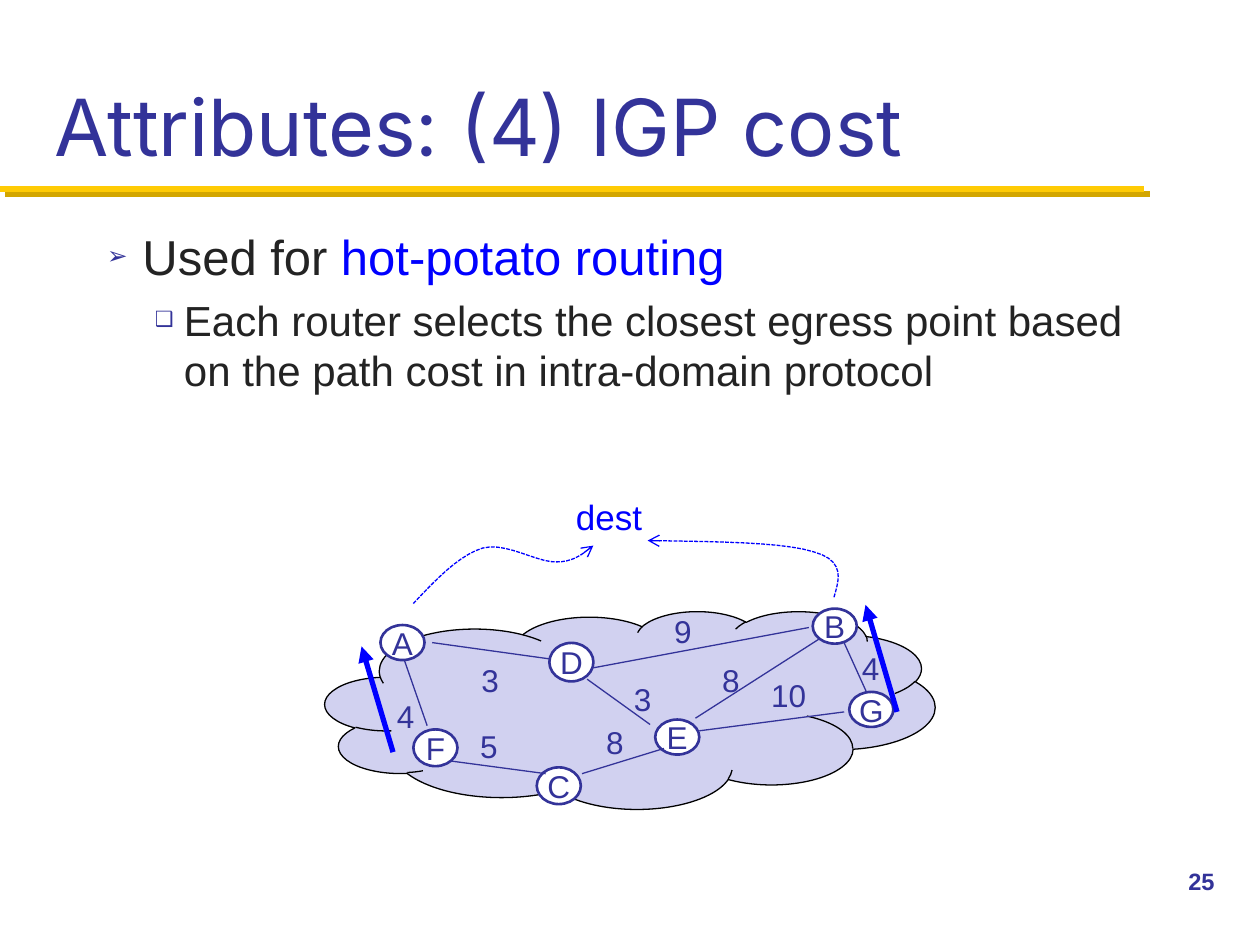
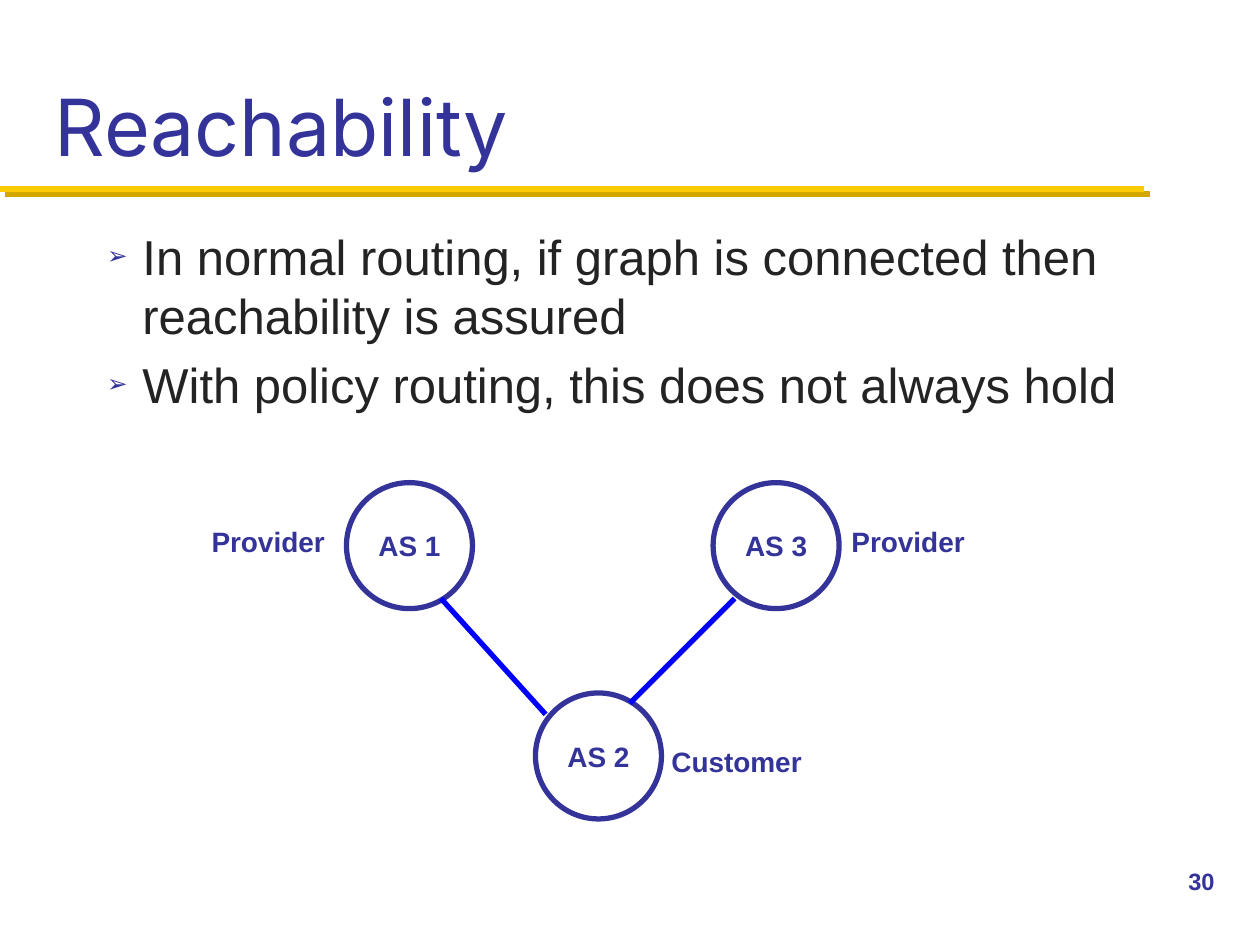
from lxml import etree
from pptx import Presentation
from pptx import util as u
from pptx.dml.color import RGBColor
from pptx.enum import dml, shapes, text
from pptx.oxml.ns import qn

NAVY = RGBColor(0x33, 0x33, 0x99)
BLUE = RGBColor(0x00, 0x00, 0xFF)
INK = RGBColor(0x23, 0x23, 0x23)
GOLD = RGBColor(0xFF, 0xCB, 0x05)
GOLD_SHADOW = RGBColor(0xD3, 0xA6, 0x00)
LILAC = RGBColor(0xD1, 0xD1, 0xF0)
WHITE = RGBColor(0xFF, 0xFF, 0xFF)
BLACK = RGBColor(0x00, 0x00, 0x00)

TITLE_FONT, BODY_FONT = "Inter", "Arial"

# Bullet levels: character, size, left margin, hanging indent
LEVELS = [("➢", 28, 20.2, 20.2), ("❑", 24, 43.9, 16.6)]

# Each bullet: level, then (words, colour) spans
IGP_BULLETS = [
    (0, [("Used for ", INK), ("hot-potato routing", BLUE)]),
    (1, [("Each router selects the closest egress point based on the path cost "
          "in intra-domain protocol", INK)]),
]
REACH_BULLETS = [
    (0, [("In normal routing, if graph is connected then reachability is assured", INK)]),
    (0, [("With policy routing, this does not always hold", INK)]),
]

# Routers: centre x, centre y, height
INNER_ROUTERS = {
    "C": (319.3, 449, 21), "D": (326.5, 378.4, 22), "G": (497.9, 405.4, 20),
    "E": (387, 421.2, 20), "F": (248.8, 427.3, 21),
}
EGRESS_ROUTERS = {"A": (230, 367.2, 20), "B": (477, 357.8, 20)}
ROUTER_WIDTH = 25.2

# Links: start, end, cost, centre of the cost
LINKS = [
    ((244.1, 414.7), (231.1, 377.3), "4", (231.8, 409)),
    ((257.8, 434.9), (311.8, 442.1), "5", (279.4, 426.2)),
    ((247, 367.2), (314.6, 376.6), "3", (280.1, 388.8)),
    ((332.6, 442.1), (379.4, 427.7), "8", (351.4, 424.1)),
    ((335.5, 388.1), (371.5, 414), "3", (367.2, 399.6)),
    ((339.1, 381.6), (462.2, 358.6), "9", (390.2, 360.7)),
    ((399.6, 417.6), (482.4, 406.8), "10", (450.7, 397.4)),
    ((495.4, 396), (481, 364.3), "4", (497.5, 381.6)),
    ((397.4, 410.4), (471.6, 362.9), "8", (417.6, 388.8)),
]

# Routes to the destination: a start, then three Bézier points per curve
DEST_ROUTES = [
    [(236.2, 344.9), (249.1, 331.2), (262.1, 317.5), (275.8, 313.2), (289.4, 309.6),
     (307.4, 321.8), (318.2, 321.1), (328.3, 321.1), (333.4, 316.1), (339.1, 311.8)],
    [(476.6, 341.3), (479.5, 331.2), (483.1, 320.4), (465.1, 315.4), (447.1, 309.6),
     (408.2, 309.6), (370.1, 308.9)],
]
EGRESS_ARROWS = [((224.6, 429.8), (206.6, 369.4)), ((512.6, 406.8), (494.6, 345.6))]

# Autonomous systems: name, left, top
SYSTEMS = [("AS 2", 306, 396), ("AS 3", 407.5, 275.8), ("AS 1", 198, 275.8)]
SYSTEM_SIZE = 72
SYSTEM_LINKS = [((360, 401.8), (419.8, 342)), ((311.8, 408.2), (252, 342))]
ROLES = [("Provider", 113.8, 293.8), ("Provider", 479.5, 293.8), ("Customer", 376.6, 419.8)]


def points(*values):
    return [u.Pt(value) for value in values]


def centred(x, y, width, height):
    return points(x - width / 2, y - height / 2, width, height)


def place(shape, *frame):
    shape.left, shape.top, shape.width, shape.height = points(*frame)


def write(shape, words, size, color=NAVY, bold=False, align=text.PP_ALIGN.CENTER,
          anchor=text.MSO_ANCHOR.MIDDLE, wrap=False):
    frame = shape.text_frame
    frame.word_wrap, frame.vertical_anchor = wrap, anchor
    para = frame.paragraphs[0]
    para.text, para.alignment = words, align
    style_font(para.font, BODY_FONT, size, color)
    para.font.bold = bold


def style_font(font, name, size, color):
    font.name, font.size = name, u.Pt(size)
    font.color.rgb = color


def style_line(shape, color, width, head=None):
    shape.line.color.rgb = color
    shape.line.width = u.Pt(width)
    if head:
        etree.SubElement(shape.element.find(".//" + qn("a:ln")), qn("a:tailEnd"), type=head)


def add_line(parts, start, end, color, width, head=None):
    """Add a straight connector and return its empty effect list."""
    line = parts.add_connector(shapes.MSO_CONNECTOR.STRAIGHT, *points(*start, *end))
    style_line(line, color, width, head)
    return line, etree.SubElement(line.element.find(qn("p:spPr")), qn("a:effectLst"))


def add_preset(parts, kind, frame, fill, color, width):
    shape = parts.add_shape(kind, *frame)
    shape.shadow.inherit = False
    if fill is None:
        shape.fill.background()
    else:
        shape.fill.solid()
        shape.fill.fore_color.rgb = fill
    style_line(shape, color, width)
    return shape


def add_routers(parts, routers):
    for name, (x, y, height) in routers.items():
        oval = add_preset(parts, shapes.MSO_SHAPE.OVAL,
                          centred(x, y, ROUTER_WIDTH, height), WHITE, NAVY, 1.5)
        frame = oval.text_frame
        frame.margin_left = frame.margin_right = frame.margin_top = frame.margin_bottom = 0
        write(oval, name, 18)


def curve_points(knots, steps=10):
    """Sample a chain of cubic Bézier curves."""
    for first in range(0, len(knots) - 1, 3):
        for step in range(1, steps + 1):
            t = step / steps
            weights = ((1 - t) ** 3, 3 * t * (1 - t) ** 2, 3 * t * t * (1 - t), t ** 3)
            yield tuple(sum(w * knot[axis] for w, knot in zip(weights, knots[first:first + 4]))
                        for axis in (0, 1))


def add_route(parts, knots):
    builder = parts.build_freeform(*points(*knots[0]))
    builder.add_line_segments([points(*spot) for spot in curve_points(knots)], close=False)
    route = builder.convert_to_shape()
    route.shadow.inherit = False
    route.fill.background()
    route.line.dash_style = dml.MSO_LINE.SQUARE_DOT
    style_line(route, BLUE, 0.75, "arrow")


def add_bullet(para, level, spans):
    mark, size, margin, hanging = LEVELS[level]
    para.level = level
    style_font(para.font, BODY_FONT, size, INK)
    for words, color in spans:
        span = para.add_run()
        span.text = words
        if color != INK:
            span.font.color.rgb = color
    props = para._p.get_or_add_pPr()
    props.set("marL", str(u.Pt(margin)))
    props.set("indent", str(-u.Pt(hanging)))
    fore = props.find(qn("a:defRPr"))
    bullet_color = etree.Element(qn("a:buClr"))
    etree.SubElement(bullet_color, qn("a:srgbClr"), val=str(NAVY))
    bullet_parts = [bullet_color,
                    etree.Element(qn("a:buSzPct"), val="50000"),
                    etree.Element(qn("a:buFont"), typeface=BODY_FONT),
                    etree.Element(qn("a:buChar"), char=mark)]
    for part in bullet_parts:
        if fore is None:
            props.append(part)
        else:
            fore.addprevious(part)


def add_page(deck, title, bullets, number, body_height):
    page = deck.slides.add_slide(deck.slide_layouts[1])
    heading, body = page.placeholders
    place(heading, 24, 12, 672, 90)
    heading.text_frame.text = title
    heading.text_frame.vertical_anchor = text.MSO_ANCHOR.BOTTOM
    para = heading.text_frame.paragraphs[0]
    para.alignment = text.PP_ALIGN.LEFT
    style_font(para.font, TITLE_FONT, 45, NAVY)

    place(body, 54, 126, 624, body_height)
    for holder in (heading, body):
        holder.text_frame.auto_size = text.MSO_AUTO_SIZE.NONE
    for index, (level, spans) in enumerate(bullets):
        frame = body.text_frame
        add_bullet(frame.add_paragraph() if index else frame.paragraphs[0], level, spans)

    write(page.shapes.add_textbox(*points(672, 492, 48, 36)), number, 13.5, bold=True,
          align=text.PP_ALIGN.LEFT, anchor=text.MSO_ANCHOR.TOP, wrap=True)
    return page


def add_title_rule(deck, page):
    """Draw the gold rule with its hard shadow and move it to the master."""
    rule, effects = add_line(page.shapes, (0, 108), (654, 108), GOLD, 3.5)
    shadow = etree.SubElement(effects, qn("a:outerShdw"), dist=str(u.Pt(4.2)),
                              dir="2700000", algn="ctr", rotWithShape="0")
    etree.SubElement(shadow, qn("a:srgbClr"), val=str(GOLD_SHADOW))
    deck.slide_master.shapes.element.append(rule.element)


def draw_network(page):
    parts = page.shapes.add_group_shape().shapes
    add_preset(parts, shapes.MSO_SHAPE.CLOUD, points(185.8, 349.2, 348.5, 113),
               LILAC, BLACK, 0.75)
    add_routers(parts, INNER_ROUTERS)
    for start, end, cost, spot in LINKS:
        add_line(parts, start, end, NAVY, 0.75)
        write(parts.add_textbox(*centred(*spot, 24.5 + 10 * (len(cost) - 1), 28.8)), cost, 18)
    add_routers(parts, EGRESS_ROUTERS)
    for knots in DEST_ROUTES:
        add_route(parts, knots)
    write(parts.add_textbox(*centred(348.1, 295.2, 52.6, 31.7)), "dest", 20, BLUE)
    for start, end in EGRESS_ARROWS:
        add_line(parts, start, end, BLUE, 3, "triangle")


def draw_systems(page):
    for name, left, top in SYSTEMS:
        circle = add_preset(page.shapes, shapes.MSO_SHAPE.OVAL,
                            points(left, top, SYSTEM_SIZE, SYSTEM_SIZE), None, NAVY, 3)
        write(circle, name, 16, bold=True)
    for start, end in SYSTEM_LINKS:
        add_line(page.shapes, start, end, BLUE, 3)
    for role, left, top in ROLES:
        write(page.shapes.add_textbox(*points(left, top, 100, 31)), role, 16, bold=True,
              align=text.PP_ALIGN.LEFT, wrap=True)


def main():
    deck = Presentation()
    deck.slide_width, deck.slide_height = points(720, 540)
    igp_page = add_page(deck, "Attributes: (4) IGP cost", IGP_BULLETS, "25", 348)
    add_title_rule(deck, igp_page)
    draw_network(igp_page)
    draw_systems(add_page(deck, "Reachability", REACH_BULLETS, "30", 136))
    deck.save("out.pptx")


if __name__ == "__main__":
    main()
